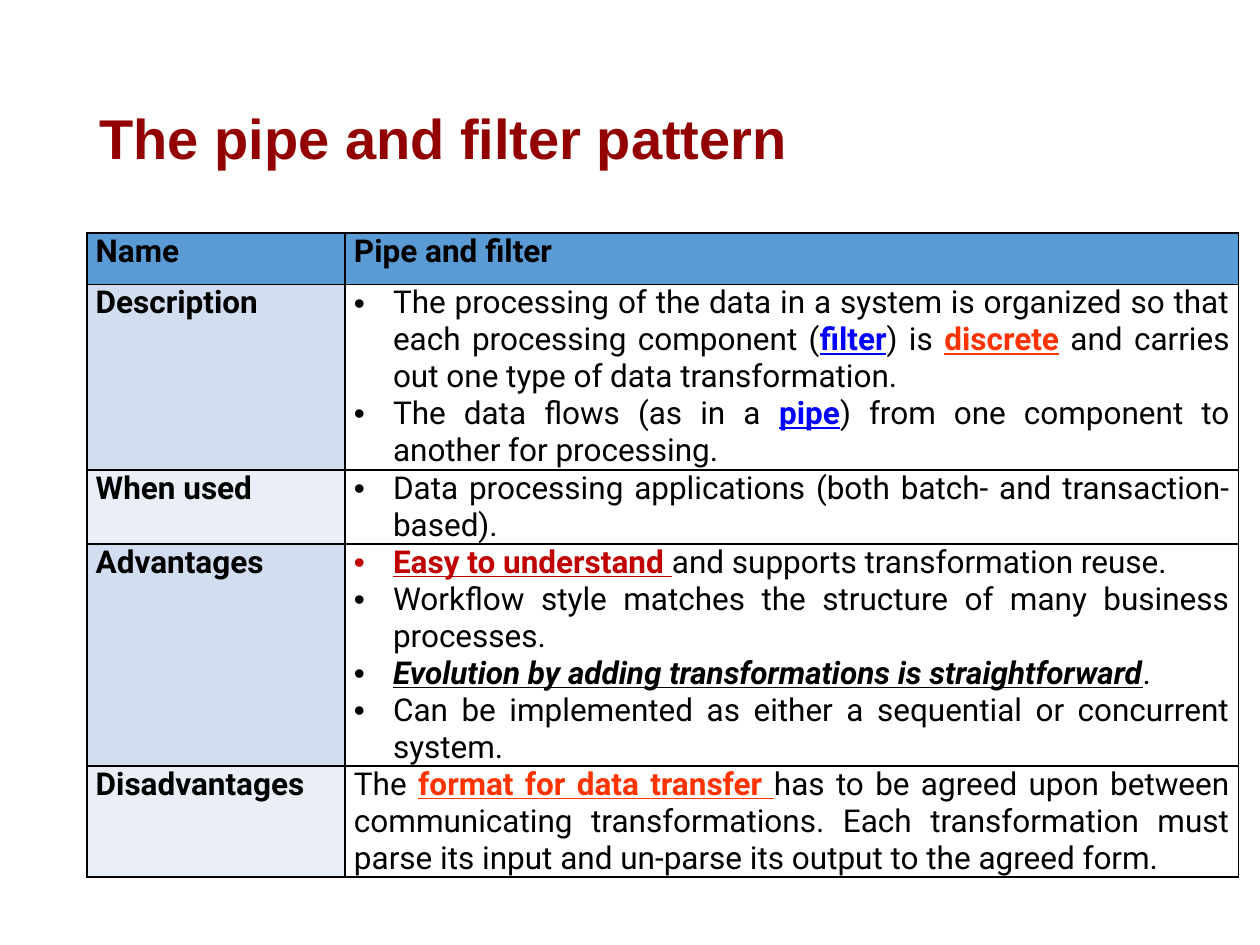
import pptx
import pptx.util
import pptx.dml.color
import pptx.enum.text
import pptx.oxml
import pptx.oxml.ns

Inches, Pt = pptx.util.Inches, pptx.util.Pt
ALIGN, ANCHOR = pptx.enum.text.PP_ALIGN, pptx.enum.text.MSO_ANCHOR

COLORS = {
    "title": "920000", "black": "000000", "blue": "0000FF", "orange": "FF3300",
    "red": "C00000", "header": "5B9BD5", "odd": "D2DEEF", "even": "EAEFF7",
}
STYLES = {
    "plain": ("black", ""), "bold": ("black", "b"), "term": ("blue", "bu"),
    "warn": ("orange", "bu"), "gain": ("red", "bu"), "stress": ("black", "biu"),
}
TITLE = "The pipe and filter pattern"
ROWS = [
    ("Name", 0.41, False, [[("Pipe and filter", "bold")]]),
    ("Description", 1.47, True, [
        [("The processing of the data in a system is organized so that each processing component (", "plain"),
         ("filter", "term"), (") is ", "plain"), ("discrete", "warn"),
         (" and carries out one type of data transformation. ", "plain")],
        [("The data flows (as in a ", "plain"), ("pipe", "term"),
         (") from one component to another for processing. ", "plain")],
    ]),
    ("When used", 0.59, True, [
        [("Data processing applications (both batch- and transaction-based).", "plain")],
    ]),
    ("Advantages", 1.76, True, [
        [("Easy to understand ", "gain"), ("and supports transformation reuse. ", "plain")],
        [("Workflow style matches the structure of many business processes. ", "plain")],
        [("Evolution by adding transformations is straightforward", "stress"), (". ", "plain")],
        [("Can be implemented as either a sequential or concurrent system.", "plain")],
    ]),
    ("Disadvantages", 0.88, False, [
        [("The ", "plain"), ("format for data transfer ", "warn"),
         ("has to be agreed upon between communicating transformations. Each transformation must "
          "parse its input and un-parse its output to the agreed form. ", "plain")],
    ]),
]
COL_WIDTHS = (2.05, 7.09)
LEFT, TOP = 0.69, 1.85


def rgb(name):
    return pptx.dml.color.RGBColor.from_string(COLORS[name])


def add_run(p, text, font, size, color, flags):
    r = p.add_run()
    r.text = text
    r.font.name, r.font.size = font, Pt(size)
    r.font.color.rgb = rgb(color)
    r.font.bold, r.font.italic, r.font.underline = (f in flags for f in "biu")


def add_bullet(p):
    pPr = p._p.get_or_add_pPr()
    pPr.set("marL", str(Inches(0.31)))
    pPr.set("indent", str(-Inches(0.31)))
    ns = pptx.oxml.ns.nsdecls("a")
    pPr.append(pptx.oxml.parse_xml(f'<a:buFont {ns} typeface="Arial"/>'))
    pPr.append(pptx.oxml.parse_xml(f'<a:buChar {ns} char="•"/>'))


def add_borders(cell):
    tcPr = cell._tc.get_or_add_tcPr()
    for i, side in enumerate("LRTB"):
        tcPr.insert(i, pptx.oxml.parse_xml(
            f'<a:ln{side} {pptx.oxml.ns.nsdecls("a")} w="{Pt(1)}"><a:solidFill>'
            f'<a:srgbClr val="{COLORS["black"]}"/></a:solidFill></a:ln{side}>'))


def fill_cell(cell, paragraphs, bulleted, fill):
    cell.margin_left = cell.margin_right = Inches(0.07)
    cell.margin_top = cell.margin_bottom = 0
    tf = cell.text_frame
    for i, runs in enumerate(paragraphs):
        p = tf.add_paragraph() if i else tf.paragraphs[0]
        p.alignment = ALIGN.JUSTIFY
        if bulleted:
            add_bullet(p)
        for text, style in runs:
            add_run(p, text, "Roboto", 18, *STYLES[style])
    if fill:
        cell.fill.solid()
        cell.fill.fore_color.rgb = rgb(fill)
    else:
        cell.fill.background()
    add_borders(cell)


prs = pptx.Presentation()
prs.slide_width, prs.slide_height = Inches(10), Inches(7.5)
s = prs.slides.add_slide(prs.slide_layouts[5])

title = s.shapes.title
title.left, title.top = Inches(LEFT), Inches(0.4)
title.width, title.height = Inches(8.62), Inches(1.45)
tf = title.text_frame
tf.vertical_anchor = ANCHOR.MIDDLE
p = tf.paragraphs[0]
p.alignment, p.line_spacing = ALIGN.LEFT, 0.9
add_run(p, TITLE, "Arial", 32, "title", "b")

table = s.shapes.add_table(
    len(ROWS), len(COL_WIDTHS), Inches(LEFT), Inches(TOP),
    Inches(sum(COL_WIDTHS)), Inches(sum(row[1] for row in ROWS))).table
for column, width in zip(table.columns, COL_WIDTHS):
    column.width = Inches(width)
for i, (name, height, bulleted, paragraphs) in enumerate(ROWS):
    table.rows[i].height = Inches(height)
    band = "header" if i == 0 else "odd" if i % 2 else "even"
    fill_cell(table.cell(i, 0), [[(name, "bold")]], False, band)
    fill_cell(table.cell(i, 1), paragraphs, bulleted, None if i else band)

prs.save("out.pptx")
